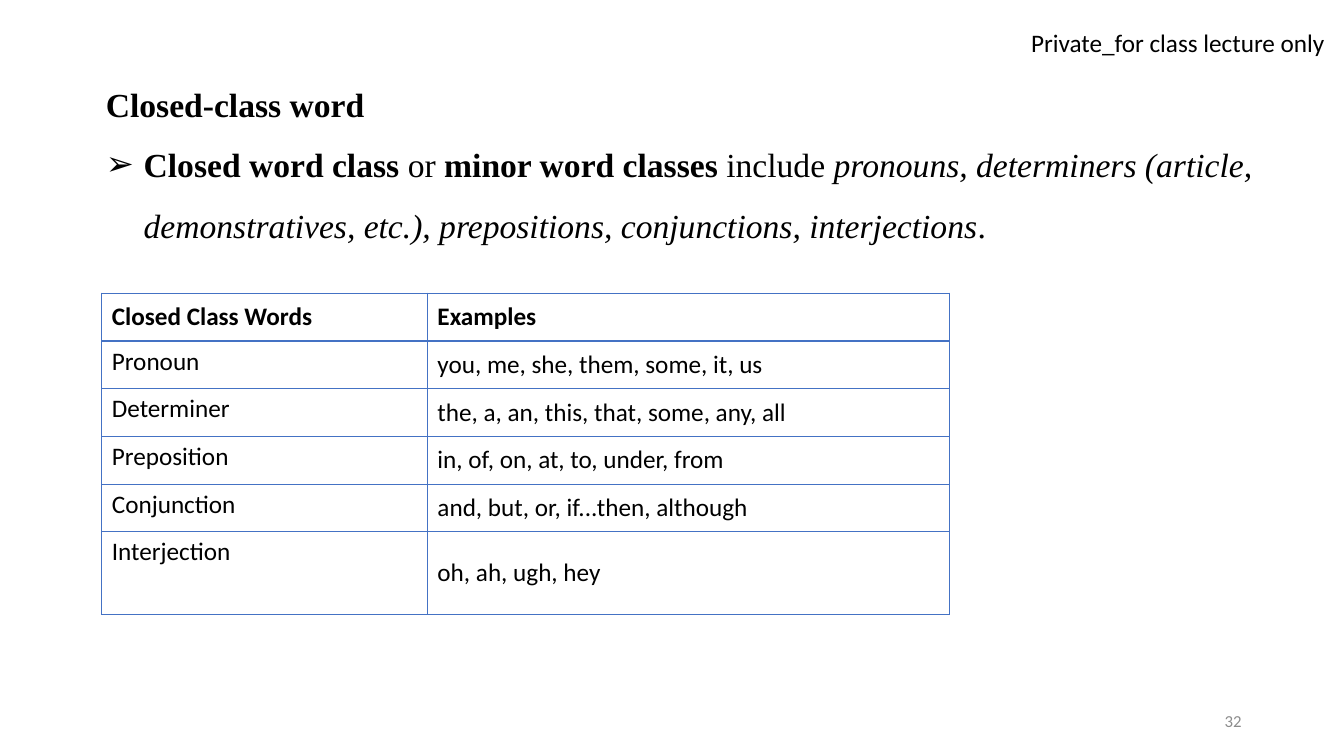
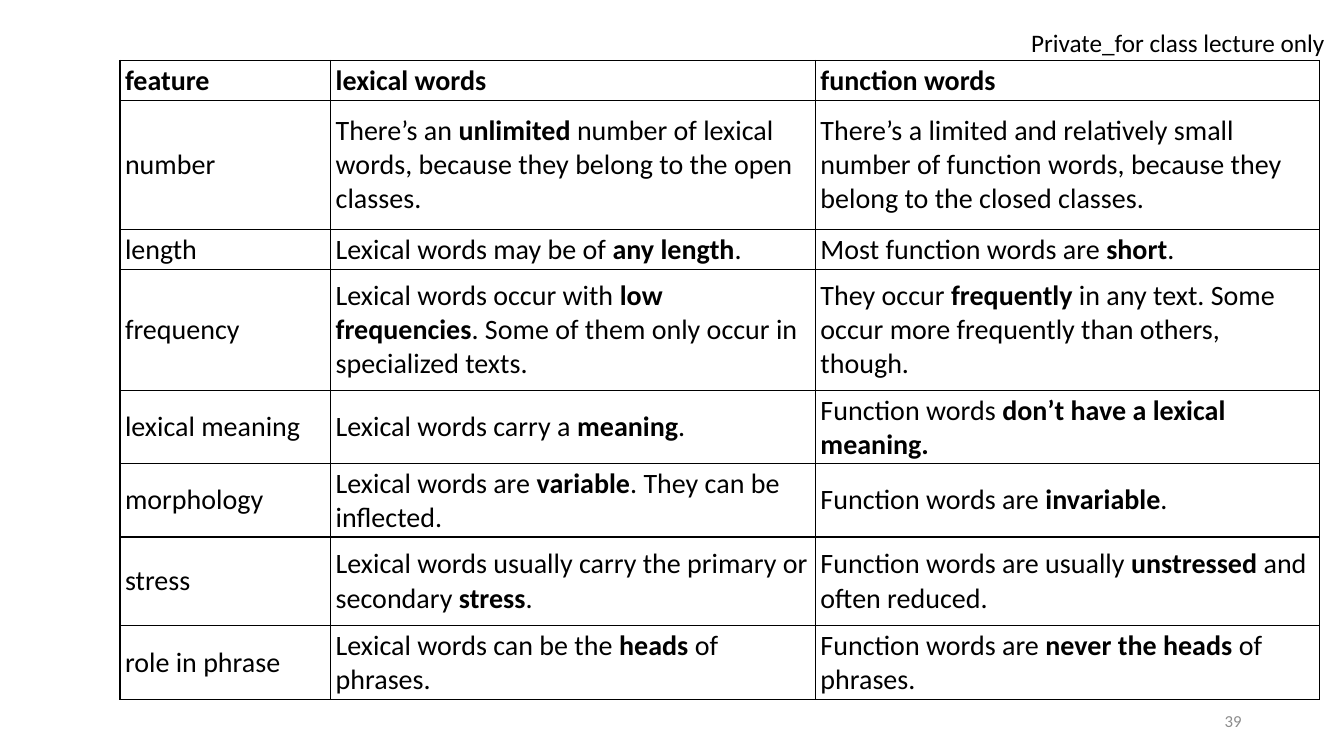
import pptx
import pptx.dml.color
import pptx.enum.text
import pptx.oxml
import pptx.oxml.ns
import pptx.util
from lxml import etree

Pt = pptx.util.Pt
RGBColor = pptx.dml.color.RGBColor
ANCHOR = pptx.enum.text.MSO_ANCHOR
ALIGN = pptx.enum.text.PP_ALIGN
qn = pptx.oxml.ns.qn

BLACK = RGBColor(0x00, 0x00, 0x00)
GREY = RGBColor(0x8C, 0x8C, 0x8C)
BLUE = RGBColor(0x44, 0x72, 0xC4)
SANS = "Calibri"
SERIF = "Times New Roman"


def add_runs(para, parts, size, font=SANS, color=BLACK):
    for text, bold, italic in parts:
        span = para.add_run()
        span.text = text
        span.font.name = font
        span.font.size = Pt(size)
        span.font.bold = bold
        span.font.italic = italic
        span.font.color.rgb = color


def add_grid(page, left, top, widths, heights, rows, size, border, margins, label_anchor):
    frame = page.shapes.add_table(
        len(rows), len(widths), Pt(left), Pt(top), Pt(sum(widths)), Pt(sum(heights)))
    table = frame.table
    table.first_row = False
    table.horz_banding = False
    for column, width in zip(table.columns, widths):
        column.width = Pt(width)
    for row, height in zip(table.rows, heights):
        row.height = Pt(height)
    for r, row in enumerate(rows):
        for c, marked in enumerate(row):
            cell = table.cell(r, c)
            cell.fill.background()
            cell.vertical_anchor = label_anchor if r > 0 and c == 0 else ANCHOR.MIDDLE
            cell.margin_left = cell.margin_right = Pt(margins[0])
            cell.margin_top = cell.margin_bottom = Pt(margins[1])
            pieces = marked.split("*")
            parts = [(text, i % 2 == 1, False) for i, text in enumerate(pieces) if text]
            add_runs(cell.text_frame.paragraphs[0], parts, size)
    for properties in frame.element.iter(qn("a:tcPr")):
        for i, side in enumerate(("a:lnL", "a:lnR", "a:lnT", "a:lnB")):
            line = etree.Element(qn(side), w=str(Pt(1)))
            fill = etree.SubElement(line, qn("a:solidFill"))
            etree.SubElement(fill, qn("a:srgbClr"), val=str(border))
            properties.insert(i, line)


deck = pptx.Presentation()
deck.slide_width = Pt(960)
deck.slide_height = Pt(540)

closed_page = deck.slides.add_slide(deck.slide_layouts[0])
feature_page = deck.slides.add_slide(deck.slide_layouts[6])

notice = closed_page.shapes.add_textbox(Pt(729.4), Pt(15.8), Pt(226.8), Pt(29))
notice.text_frame.word_wrap = False
notice.text_frame.auto_size = pptx.enum.text.MSO_AUTO_SIZE.SHAPE_TO_FIT_TEXT
add_runs(notice.text_frame.paragraphs[0],
         [("Private_for class lecture only", False, False)], 18)
deck.slide_master.shapes.element.append(notice.element)

for page, number in ((closed_page, "32"), (feature_page, "39")):
    box = page.shapes.add_textbox(Pt(678), Pt(500.5), Pt(216), Pt(28.8))
    box.text_frame.word_wrap = True
    box.text_frame.vertical_anchor = ANCHOR.MIDDLE
    para = box.text_frame.paragraphs[0]
    para.alignment = ALIGN.RIGHT
    add_runs(para, [(number, False, False)], 12, color=GREY)

title = closed_page.shapes.title.element
title.getparent().remove(title)

body = closed_page.placeholders[1]
body.left, body.top, body.width, body.height = Pt(68.4), Pt(41.8), Pt(876.2), Pt(476)
body_parts = [
    [("Closed-class word", True, False)],
    [
        ("Closed word class ", True, False),
        ("or ", False, False),
        ("minor word classes ", True, False),
        ("include ", False, False),
        ("pronouns, determiners (article, demonstratives, etc.), "
         "prepositions, conjunctions, interjections", False, True),
        (".", False, False),
    ],
]
heading = body.text_frame.paragraphs[0]
point = body.text_frame.add_paragraph()
for para, parts in zip((heading, point), body_parts):
    para.alignment = ALIGN.LEFT
    para.line_spacing = 1.5
    para.space_before = Pt(0)
    add_runs(para, parts, 24, SERIF)
point_properties = list(body.element.iter(qn("a:pPr")))[-1]
point_properties.set("marL", str(Pt(27)))
point_properties.set("indent", str(Pt(-27)))
etree.SubElement(point_properties, qn("a:buChar"), char="➢")

closed_rows = [
    ("*Closed Class Words*", "*Examples*"),
    ("Pronoun", "you, me, she, them, some, it, us"),
    ("Determiner", "the, a, an, this, that, some, any, all"),
    ("Preposition", "in, of, on, at, to, under, from"),
    ("Conjunction", "and, but, or, if...then, although"),
    ("Interjection", "oh, ah, ugh, hey"),
]
add_grid(closed_page, 72.7, 209.5, [232.6, 373], [34.1] * 5 + [58.8], closed_rows,
         18, BLUE, (7.2, 3.6), ANCHOR.TOP)

feature_rows = [
    ("*feature*", "*lexical words*", "*function words*"),
    ("number",
     "There’s an *unlimited* number of lexical words, because they belong to the open classes.",
     "There’s a limited and relatively small number of function words, "
     "because they belong to the closed classes."),
    ("length",
     "Lexical words may be of *any length*.",
     "Most function words are *short*."),
    ("frequency",
     "Lexical words occur with *low frequencies*. Some of them only occur in specialized texts.",
     "They occur *frequently* in any text. Some occur more frequently than others, though."),
    ("lexical meaning",
     "Lexical words carry a *meaning*.",
     "Function words *don’t have a lexical meaning.*"),
    ("morphology",
     "Lexical words are *variable*. They can be inflected.",
     "Function words are *invariable*."),
    ("stress",
     "Lexical words usually carry the primary or secondary *stress*.",
     "Function words are usually *unstressed* and often reduced."),
    ("role in phrase",
     "Lexical words can be the *heads* of phrases.",
     "Function words are *never the heads *of phrases."),
]
add_grid(feature_page, 85.7, 43.2, [150.5, 346.3, 360],
         [27.4, 92.4, 27.4, 86.4, 51.6, 51.6, 63.4, 51.6], feature_rows,
         20, BLACK, (3.6, 2.2), ANCHOR.MIDDLE)

deck.save("out.pptx")
